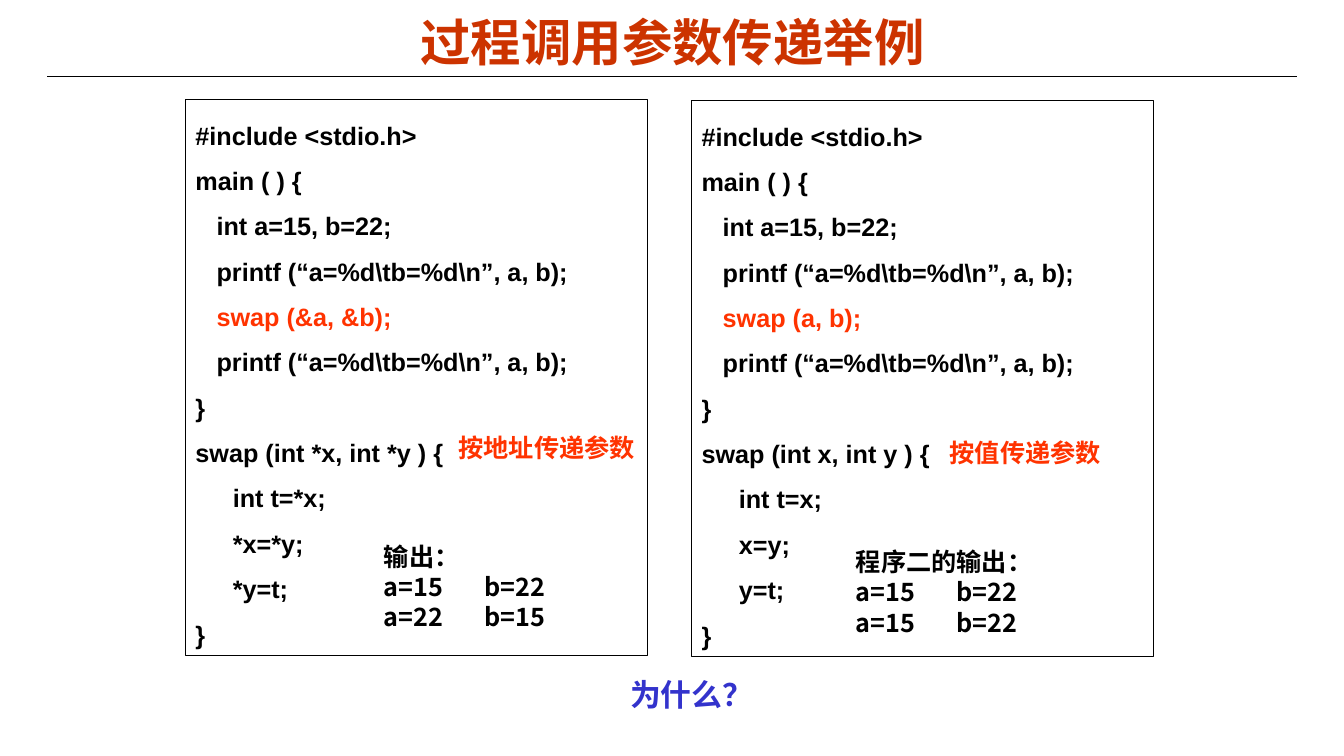
from lxml.etree import SubElement
from pptx import Presentation
from pptx.dml.color import RGBColor
from pptx.enum.shapes import MSO_CONNECTOR, MSO_SHAPE
from pptx.enum.text import MSO_ANCHOR, PP_ALIGN
from pptx.oxml.ns import qn
from pptx.util import Inches, Pt

BLACK = RGBColor(0x00, 0x00, 0x00)
WHITE = RGBColor(0xFF, 0xFF, 0xFF)
TITLE_RED = RGBColor(0xCC, 0x33, 0x00)
ACCENT_RED = RGBColor(0xFF, 0x33, 0x00)
BLUE = RGBColor(0x33, 0x33, 0xCC)
LATIN = "Arial"
CJK = "Noto Sans CJK SC"
STATEMENT, BODY = 0.21, 0.37


def code_lines(call, signature, body):
    show = "printf (“a=%d\\tb=%d\\n”, a, b);"
    return [
        ("#include <stdio.h>", 0, BLACK),
        ("main ( ) {", 0, BLACK),
        ("int a=15, b=22;", STATEMENT, BLACK),
        (show, STATEMENT, BLACK),
        (call, STATEMENT, ACCENT_RED),
        (show, STATEMENT, BLACK),
        ("}", 0, BLACK),
        (signature, 0, BLACK),
        *[(line, BODY, BLACK) for line in body],
        ("}", 0, BLACK),
    ]


def style(p, size, color, name, align):
    p.alignment = align
    font = p.font
    font.size, font.bold, font.name = Pt(size), True, name
    font.color.rgb = color
    props = p._p.get_or_add_pPr().find(qn("a:defRPr"))
    SubElement(props, qn("a:ea")).set("typeface", CJK)


def add_box(s, x, y, w, h, fill=None, line=None):
    sp = s.shapes.add_shape(MSO_SHAPE.RECTANGLE, Inches(x), Inches(y), Inches(w), Inches(h))
    sp.shadow.inherit = False
    if fill is None:
        sp.fill.background()
    else:
        sp.fill.solid()
        sp.fill.fore_color.rgb = fill
    if line is None:
        sp.line.fill.background()
    else:
        sp.line.color.rgb = line
        sp.line.width = Pt(0.75)
    sp.text_frame.word_wrap = True
    sp.text_frame.vertical_anchor = MSO_ANCHOR.TOP
    return sp


def add_code(s, x, y, lines):
    tf = add_box(s, x, y, 4.58, 5.51, line=BLACK).text_frame
    for i, (text, indent, color) in enumerate(lines):
        p = tf.add_paragraph() if i else tf.paragraphs[0]
        p.text = text
        p.line_spacing = 1.5
        style(p, 18, color, LATIN, PP_ALIGN.JUSTIFY)
        p._p.get_or_add_pPr().set("marL", str(Inches(indent)))


def add_output(s, x, y, w, h, lines, fill=None):
    tf = add_box(s, x, y, w, h, fill=fill).text_frame
    tf.margin_top = tf.margin_bottom = 0
    tf.text = "\n".join(lines)
    for p in tf.paragraphs:
        style(p, 18, BLACK, CJK, PP_ALIGN.JUSTIFY)


def add_label(s, x, y, w, h, text, size, color, name=CJK,
              align=PP_ALIGN.LEFT, anchor=MSO_ANCHOR.TOP):
    tf = s.shapes.add_textbox(Inches(x), Inches(y), Inches(w), Inches(h)).text_frame
    tf.word_wrap = True
    tf.vertical_anchor = anchor
    tf.text = text
    style(tf.paragraphs[0], size, color, name, align)


def add_rule(s, x1, x2, y):
    rule = s.shapes.add_connector(MSO_CONNECTOR.STRAIGHT, Inches(x1), Inches(y), Inches(x2), Inches(y))
    rule.line.color.rgb = BLACK
    rule.line.width = Pt(0.75)
    SubElement(rule._element.spPr, qn("a:effectLst"))


def main():
    prs = Presentation()
    prs.slide_width, prs.slide_height = Inches(13.33), Inches(7.5)
    s = prs.slides.add_slide(prs.slide_layouts[6])

    add_rule(s, 0.47, 12.86, 0.76)
    add_label(s, 2.17, 0.11, 9, 0.61, "过程调用参数传递举例", 36, TITLE_RED,
              LATIN, PP_ALIGN.CENTER, MSO_ANCHOR.MIDDLE)

    add_code(s, 1.84, 0.99, code_lines(
        "swap (&a, &b);", "swap (int *x, int *y ) {", ["int t=*x;", "*x=*y;", "*y=t;"]))
    add_code(s, 6.86, 1, code_lines(
        "swap (a, b);", "swap (int x, int y ) {", ["int t=x;", "x=y;", "y=t;"]))

    add_output(s, 3.71, 5.37, 2.56, 0.95, ["输出：", "a=15\tb=22", "a=22\tb=15"])
    add_output(s, 8.39, 5.42, 2.42, 0.98, ["程序二的输出：", "a=15\tb=22", "a=15\tb=22"], WHITE)

    add_label(s, 4.45, 4.24, 1.97, 0.4, "按地址传递参数", 18, ACCENT_RED)
    add_label(s, 9.32, 4.29, 1.72, 0.4, "按值传递参数", 18, ACCENT_RED)
    add_label(s, 5.73, 6.65, 2.26, 0.47, "为什么？", 22, BLUE, align=PP_ALIGN.CENTER)
    prs.save("out.pptx")


if __name__ == "__main__":
    main()
